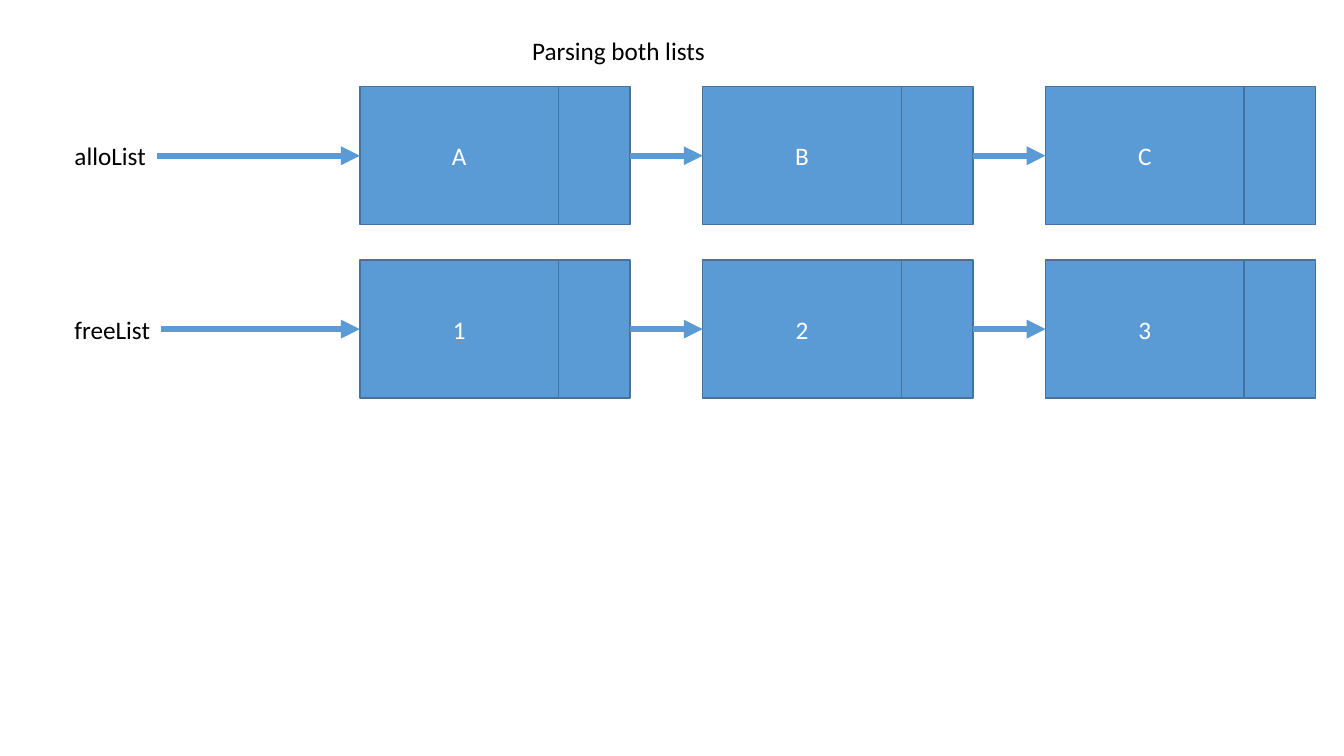
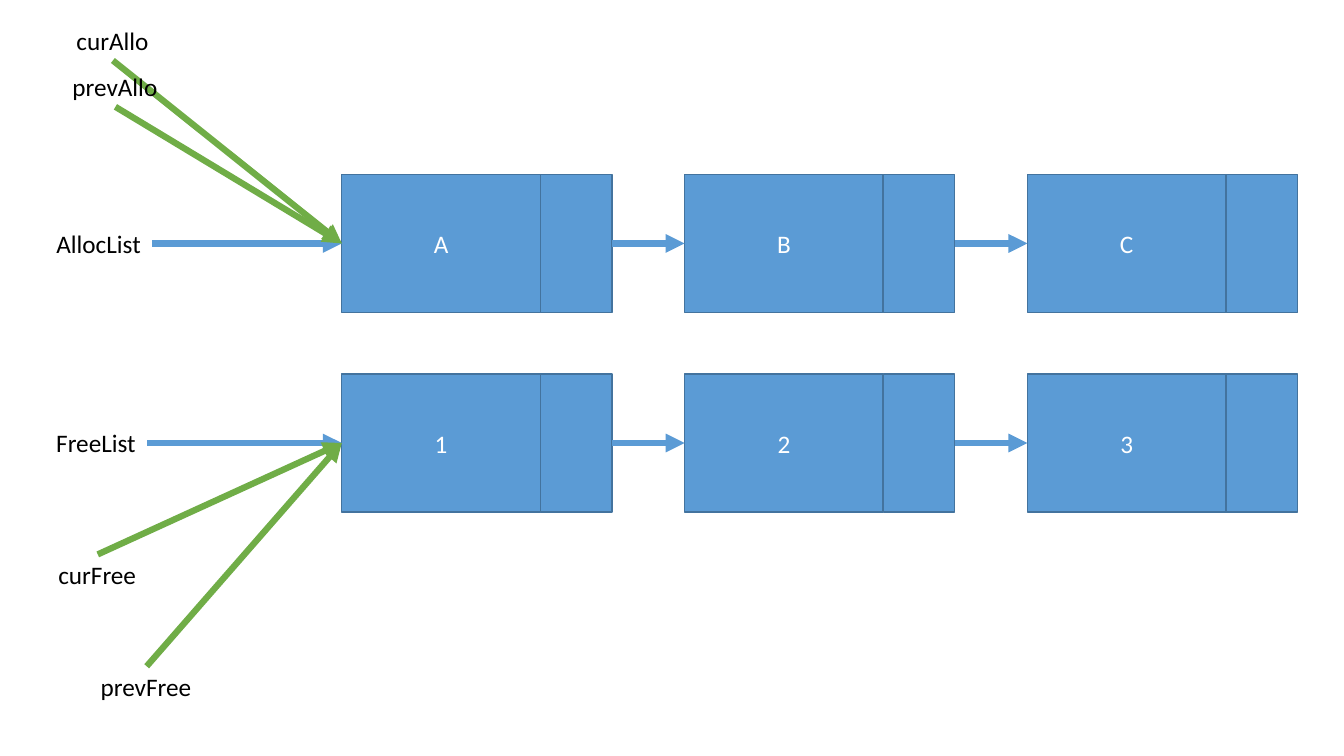
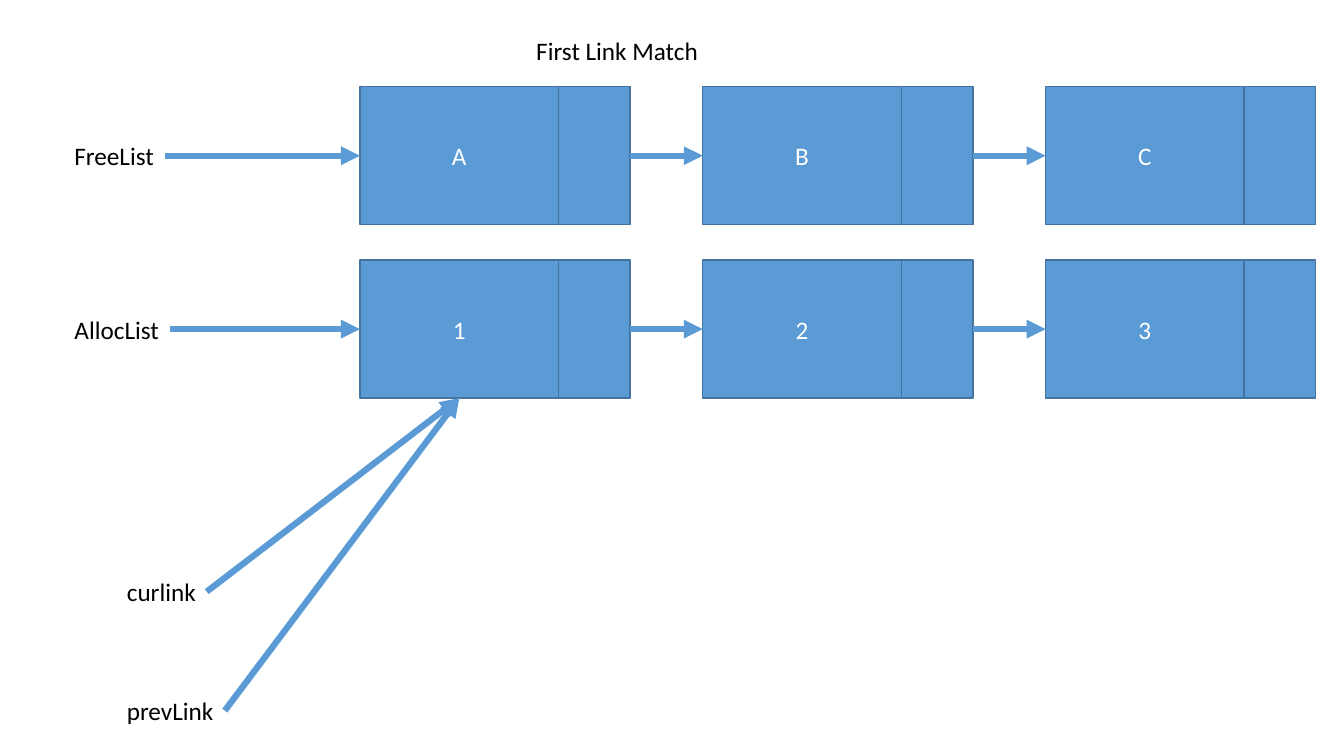
from lxml import etree
from pptx import Presentation
from pptx.dml.color import RGBColor
from pptx.enum.shapes import MSO_CONNECTOR, MSO_SHAPE
from pptx.enum.text import MSO_ANCHOR, MSO_AUTO_SIZE, PP_ALIGN
from pptx.oxml.ns import qn
from pptx.util import Inches, Pt

STRAIGHT = MSO_CONNECTOR.STRAIGHT
RECTANGLE = MSO_SHAPE.RECTANGLE
MIDDLE = MSO_ANCHOR.MIDDLE
FIT_SHAPE = MSO_AUTO_SIZE.SHAPE_TO_FIT_TEXT
CENTER = PP_ALIGN.CENTER
TOP_SITE, LEFT_SITE, BOTTOM_SITE, RIGHT_SITE = range(4)

BLUE = RGBColor(0x5B, 0x9B, 0xD5)
DARK_BLUE = RGBColor(0x43, 0x73, 0x9E)
GREEN = RGBColor(0x70, 0xAD, 0x47)
BLACK = RGBColor(0, 0, 0)
WHITE = RGBColor(255, 255, 255)
FONT = "Calibri"

VALUE_WIDTH = 1.97
LINK_WIDTH = 0.71
NODE_HEIGHT = 1.37
NODE_PITCH = 3.4
LABEL_HEIGHT = 0.4
LABEL_OFFSET = 2.93


def add_span(para, text, color):
    span = para.add_run()
    span.text = text
    span.font.name = FONT
    span.font.size = Pt(18)
    span.font.color.rgb = color


def add_label(page, text, left, top, width):
    label = page.shapes.add_textbox(
        Inches(left), Inches(top), Inches(width), Inches(LABEL_HEIGHT))
    frame = label.text_frame
    frame.word_wrap = False
    frame.auto_size = FIT_SHAPE
    add_span(frame.paragraphs[0], text, BLACK)
    return label


def add_cell(group, left, top, width):
    cell = group.shapes.add_shape(
        RECTANGLE, Inches(left), Inches(top), Inches(width), Inches(NODE_HEIGHT))
    cell.shadow.inherit = False
    cell.fill.solid()
    cell.fill.fore_color.rgb = BLUE
    cell.line.color.rgb = DARK_BLUE
    cell.line.width = Pt(1)
    return cell


def add_node(page, text, left, top):
    group = page.shapes.add_group_shape()
    value = add_cell(group, left, top, VALUE_WIDTH)
    value.text_frame.vertical_anchor = MIDDLE
    para = value.text_frame.paragraphs[0]
    para.alignment = CENTER
    add_span(para, text, WHITE)
    link = add_cell(group, left + VALUE_WIDTH, top, LINK_WIDTH)
    return value, link


def add_arrow(page, source, source_site, target, target_site, color=BLUE):
    arrow = page.shapes.add_connector(STRAIGHT, 0, 0, 0, 0)
    arrow.begin_connect(source, source_site)
    arrow.end_connect(target, target_site)
    arrow.line.color.rgb = color
    arrow.line.width = Pt(4.5)
    properties = arrow.element.spPr
    etree.SubElement(properties.find(qn("a:ln")), qn("a:tailEnd"), type="triangle")
    etree.SubElement(properties, qn("a:effectLst"))


def add_chain(page, name, name_width, values, left, top):
    label_top = top + (NODE_HEIGHT - LABEL_HEIGHT) / 2
    previous = add_label(page, name, left - LABEL_OFFSET, label_top, name_width)
    heads = []
    for index, text in enumerate(values):
        value, link = add_node(page, text, left + index * NODE_PITCH, top)
        add_arrow(page, previous, RIGHT_SITE, value, LEFT_SITE)
        heads.append(value)
        previous = link
    return heads[0]


def add_pointer(page, text, box, source_site, target, target_site, color=BLUE):
    label = add_label(page, text, *box)
    add_arrow(page, label, source_site, target, target_site, color)


def add_lists(deck, left, tops, names):
    page = deck.slides.add_slide(deck.slide_layouts[6])
    heads = [add_chain(page, name, width, values, left, top)
             for (name, width), values, top in zip(names, ("ABC", "123"), tops)]
    return page, heads


def build_parsing(deck):
    page, _ = add_lists(deck, 3.57, (0.86, 2.58),
                        (("alloList", 0.92), ("freeList", 0.96)))
    add_label(page, "Parsing both lists", 5.18, 0.3, 1.93)


def build_cursors(deck):
    page, (alloc, free) = add_lists(deck, 3.39, (1.73, 3.71),
                                    (("AllocList", 1.05), ("FreeList", 1)))
    for text, box, site, head in (
        ("curAllo", (0.66, 0.2, 0.92), BOTTOM_SITE, alloc),
        ("prevAllo", (0.62, 0.66, 1.05), BOTTOM_SITE, alloc),
        ("curFree", (0.48, 5.5, 0.98), TOP_SITE, free),
        ("prevFree", (0.9, 6.61, 1.11), TOP_SITE, free),
    ):
        add_pointer(page, text, box, site, head, LEFT_SITE, GREEN)


def build_first_match(deck):
    page, (_, alloc) = add_lists(deck, 3.57, (0.86, 2.58),
                                 (("FreeList", 1), ("AllocList", 1.05)))
    for text, box in (("curlink", (1.16, 5.67, 0.89)),
                      ("prevLink", (1.16, 6.85, 1.07))):
        add_pointer(page, text, box, RIGHT_SITE, alloc, BOTTOM_SITE)
    add_label(page, "First Link Match", 5.22, 0.3, 1.82)


deck = Presentation()
deck.slide_width = Inches(13.33)
deck.slide_height = Inches(7.5)
build_parsing(deck)
build_cursors(deck)
build_first_match(deck)
deck.save("out.pptx")
